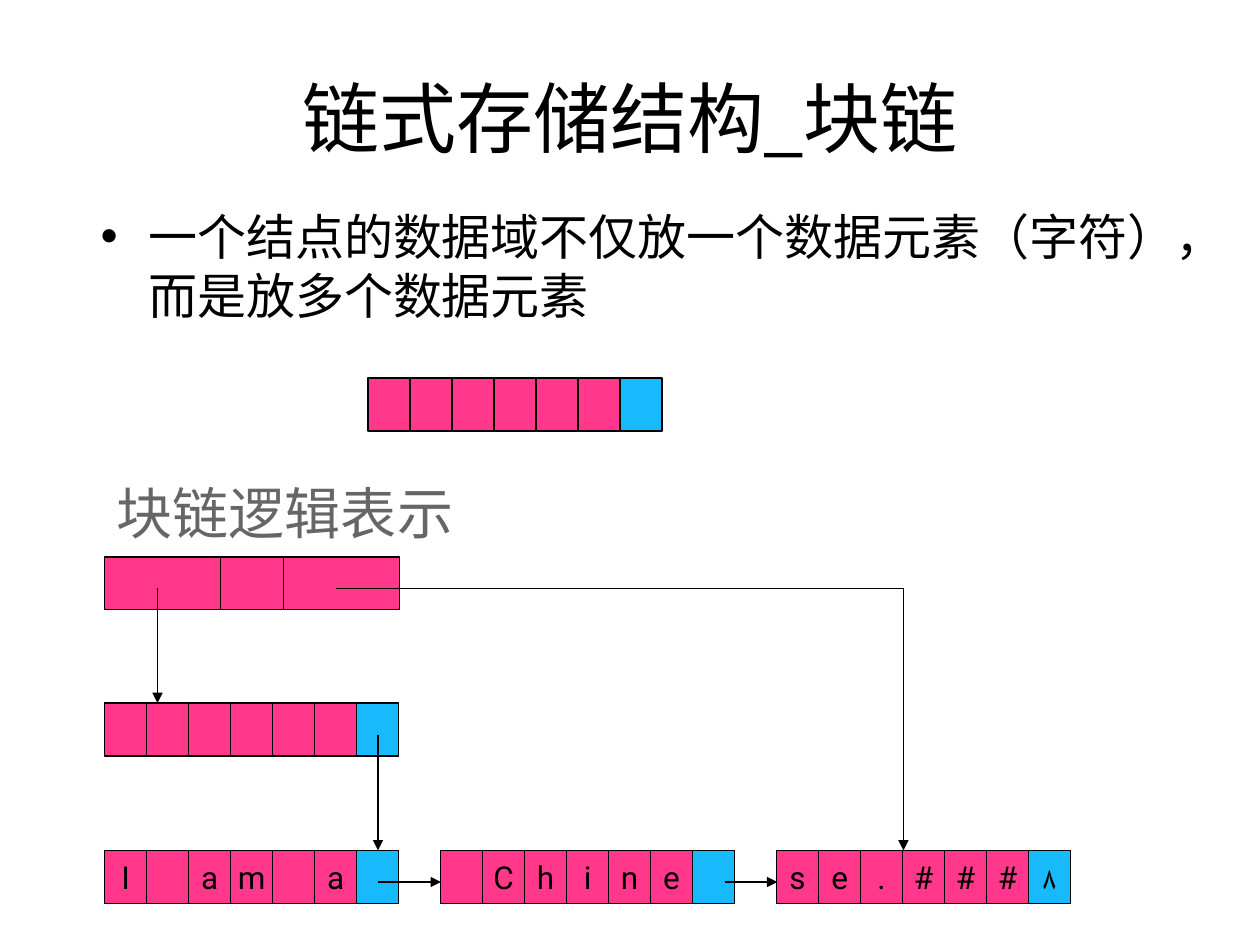
from lxml import etree
from pptx import Presentation
from pptx import util as u
from pptx.dml.color import RGBColor
from pptx.enum import shapes, text
from pptx.oxml.ns import qn

BLACK, GREY, DATA, POINTER = "000000", "666666", "FF388C", "17BBFD"
CELL_WIDTH, CELL_HEIGHT = 1 / 3, 0.42
LEFT, HEADER_TOP, EMPTY_TOP, FILLED_TOP = 0.83, 4.42, 5.58, 6.75
NODE_PITCH = 8 * CELL_WIDTH
NODE_CONTENTS = ["I am a ", " Chine ", "se.###٨"]


def color(value):
    return RGBColor.from_string(value)


def add_run(paragraph, words, size, font, value=BLACK):
    run = paragraph.add_run()
    run.text = words
    run.font.size = u.Pt(size)
    run.font.name = font
    run.font.color.rgb = color(value)


def add_label(slide, box, words, size, font, value=BLACK, wrap=True,
              anchor=text.MSO_ANCHOR.TOP, align=text.PP_ALIGN.LEFT):
    label = slide.shapes.add_textbox(*map(u.Inches, box))
    label.text_frame.word_wrap = wrap
    label.text_frame.vertical_anchor = anchor
    paragraph = label.text_frame.paragraphs[0]
    paragraph.alignment = align
    add_run(paragraph, words, size, font, value)
    return paragraph


def add_bullet(paragraph):
    properties = paragraph._p.get_or_add_pPr()
    properties.set("marL", str(u.Inches(0.38)))
    properties.set("indent", str(u.Inches(-0.38)))
    bullet_color = etree.SubElement(properties, qn("a:buClr"))
    etree.SubElement(bullet_color, qn("a:srgbClr"), val=BLACK)
    etree.SubElement(properties, qn("a:buFont"), typeface="Arial")
    etree.SubElement(properties, qn("a:buChar"), char="•")


def add_cell(slide, left, top, width, fill, letter=""):
    cell = slide.shapes.add_shape(
        shapes.MSO_SHAPE.RECTANGLE,
        *map(u.Inches, (left, top, width, CELL_HEIGHT)))
    cell.shadow.inherit = False
    cell.fill.solid()
    cell.fill.fore_color.rgb = color(fill)
    cell.line.color.rgb = color(BLACK)
    cell.line.width = u.Pt(0.75)
    if letter.strip():
        frame = cell.text_frame
        frame.word_wrap = False
        frame.vertical_anchor = text.MSO_ANCHOR.MIDDLE
        frame.paragraphs[0].alignment = text.PP_ALIGN.CENTER
        add_run(frame.paragraphs[0], letter, 18, "Roboto")


def add_node(slide, left, top, letters=" " * 7):
    last = len(letters) - 1
    for index, letter in enumerate(letters):
        fill = POINTER if index == last else DATA
        add_cell(slide, left + index * CELL_WIDTH, top, CELL_WIDTH, fill, letter)


def add_header(slide):
    left = LEFT
    for width in (0.92, 0.5, 0.92):
        add_cell(slide, left, HEADER_TOP, width, DATA)
        left += width


def add_link(slide, start, end, arrow=True):
    link = slide.shapes.add_connector(
        shapes.MSO_CONNECTOR.STRAIGHT, *map(u.Inches, start + end))
    link.line.color.rgb = color(BLACK)
    link.line.width = u.Pt(0.75)
    if arrow:
        etree.SubElement(link.line._get_or_add_ln(), qn("a:tailEnd"), type="triangle")
    etree.SubElement(link._element.spPr, qn("a:effectLst"))


def main():
    presentation = Presentation()
    presentation.slide_width = u.Inches(10)
    presentation.slide_height = u.Inches(7.5)
    slide = presentation.slides.add_slide(presentation.slide_layouts[6])

    add_label(slide, (0.5, 0.3, 9, 1.25), "链式存储结构_块链", 44, "Calibri",
              anchor=text.MSO_ANCHOR.MIDDLE, align=text.PP_ALIGN.CENTER)
    definition = add_label(
        slide, (0.7, 1.59, 9.04, 5.73),
        "一个结点的数据域不仅放一个数据元素（字符），而是放多个数据元素", 28, "Calibri")
    add_bullet(definition)
    add_node(slide, 2.92, 3)

    add_label(slide, (LEFT, 3.75, 2.87, 0.64), "块链逻辑表示", 32, "Roboto",
              GREY, wrap=False)
    for index, letters in enumerate(NODE_CONTENTS):
        add_node(slide, LEFT + index * NODE_PITCH, FILLED_TOP, letters)
    add_link(slide, (3, 7), (3.5, 7))
    add_link(slide, (5.75, 7), (6.17, 7))

    add_header(slide)
    add_link(slide, (1.25, 4.67), (1.25, EMPTY_TOP))
    add_link(slide, (2.67, 4.67), (7.17, 4.67), arrow=False)
    add_link(slide, (7.17, 4.67), (7.17, FILLED_TOP))

    add_node(slide, LEFT, EMPTY_TOP)
    add_link(slide, (3, 5.83), (3, FILLED_TOP))
    presentation.save("out.pptx")


if __name__ == "__main__":
    main()
